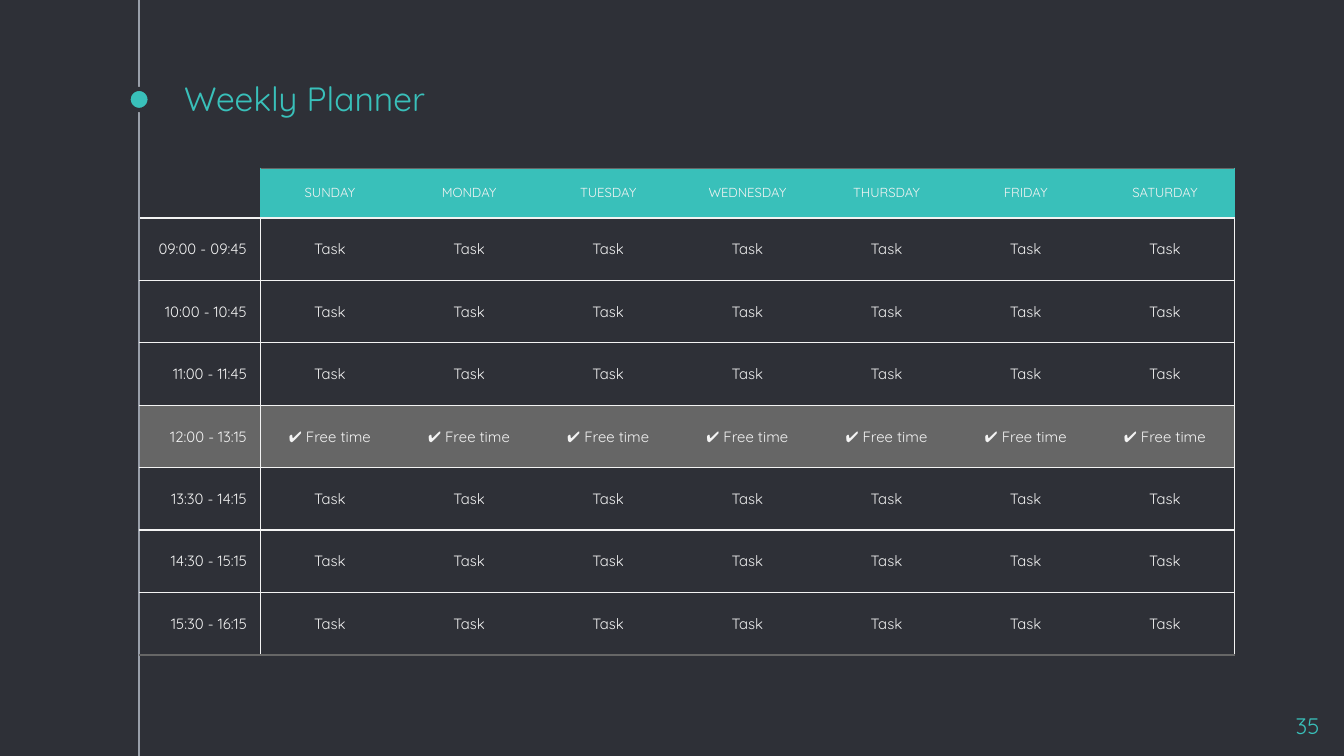
"""Build a weekly planner slide with a timetable of tasks and free time."""
from lxml import etree
from pptx import Presentation
from pptx import util as u
from pptx.dml.color import RGBColor
from pptx.enum import shapes, text
from pptx.oxml import ns

HEADING = "Weekly Planner"
PAGE = "35"
DAYS = ["SUNDAY", "MONDAY", "TUESDAY", "WEDNESDAY", "THURSDAY", "FRIDAY", "SATURDAY"]
TASK, FREE = "Task", "✔ Free time"
HOURS = [
    ("09:00 - 09:45", TASK),
    ("10:00 - 10:45", TASK),
    ("11:00 - 11:45", TASK),
    ("12:00 - 13:15", FREE),
    ("13:30 - 14:15", TASK),
    ("14:30 - 15:15", TASK),
    ("15:30 - 16:15", TASK),
]
FONT = "Quicksand"
DARK, TEAL, PALE, GREY, RAIL = "2E3037", "39C0BA", "F3F3F3", "666666", "999FA9"
WIDTH, HEIGHT = 25.4, 14.29
RAIL_X, DOT_Y, DOT_SIZE = 2.63, 1.88, 0.4
TABLE_TOP, HOUR_WIDTH, DAY_WIDTH = 3.18, 2.29, 2.63
DAY_HEIGHT, HOUR_HEIGHT = 0.94, 1.18
INSET = u.Cm(0.25)
ALIGN, ANCHOR = text.PP_ALIGN, text.MSO_ANCHOR


def color(value):
    return RGBColor.from_string(value)


def format_text(paragraph, size, ink, align):
    paragraph.alignment = align
    for run in paragraph.runs:
        run.font.name = FONT
        run.font.size = u.Pt(size)
        run.font.color.rgb = color(ink)


def set_insets(holder, inset):
    holder.margin_left = holder.margin_right = inset
    holder.margin_top = holder.margin_bottom = inset


def add_label(slide, words, place, size, align, anchor):
    frame = slide.shapes.add_textbox(*map(u.Cm, place)).text_frame
    frame.word_wrap = True
    frame.vertical_anchor = anchor
    set_insets(frame, INSET)
    frame.text = words
    format_text(frame.paragraphs[0], size, TEAL, align)


def add_rail(slide):
    rail = slide.shapes.add_connector(
        shapes.MSO_CONNECTOR.STRAIGHT, u.Cm(RAIL_X), 0, u.Cm(RAIL_X), u.Cm(HEIGHT))
    rail.line.color.rgb = color(RAIL)
    rail.line.width = u.Pt(0.75)
    etree.SubElement(rail._element.spPr, ns.qn("a:effectLst"))
    dot = slide.shapes.add_shape(
        shapes.MSO_SHAPE.OVAL, u.Cm(RAIL_X - DOT_SIZE / 2), u.Cm(DOT_Y - DOT_SIZE / 2),
        u.Cm(DOT_SIZE), u.Cm(DOT_SIZE))
    dot.shadow.inherit = False
    dot.fill.solid()
    dot.fill.fore_color.rgb = color(TEAL)
    dot.line.color.rgb = color(DARK)
    dot.line.width = u.Pt(2.25)


def cell_borders(row, col):
    upright = PALE if row else TEAL
    left = {0: RAIL if row else None, 1: upright}.get(col)
    right = upright if col in (0, len(DAYS)) else None
    top = PALE if row else GREY if col else None
    bottom = GREY if row == len(HOURS) else PALE
    return {"L": left, "R": right, "T": top, "B": bottom}


def draw_borders(cell, borders):
    properties = cell._tc.get_or_add_tcPr()
    for side, ink in borders.items():
        edge = etree.SubElement(properties, ns.qn(f"a:ln{side}"), w=str(u.Pt(0.75)))
        if ink:
            fill = etree.SubElement(edge, ns.qn("a:solidFill"))
            etree.SubElement(fill, ns.qn("a:srgbClr"), val=ink)
        else:
            etree.SubElement(edge, ns.qn("a:noFill"))


def fill_cell(cell, words, row, col, shade):
    draw_borders(cell, cell_borders(row, col))
    if shade:
        cell.fill.solid()
        cell.fill.fore_color.rgb = color(shade)
    else:
        cell.fill.background()
    cell.vertical_anchor = ANCHOR.MIDDLE
    set_insets(cell, INSET if words else 0)
    cell.text = words
    format_text(cell.text_frame.paragraphs[0], 8 if row else 7, PALE,
                ALIGN.CENTER if col else ALIGN.RIGHT)


def add_planner(slide):
    planner = [["", *DAYS]] + [[hour] + [entry] * len(DAYS) for hour, entry in HOURS]
    widths = [HOUR_WIDTH] + [DAY_WIDTH] * len(DAYS)
    heights = [DAY_HEIGHT] + [HOUR_HEIGHT] * len(HOURS)
    table = slide.shapes.add_table(
        len(heights), len(widths), u.Cm(RAIL_X), u.Cm(TABLE_TOP),
        u.Cm(sum(widths)), u.Cm(sum(heights))).table
    table.first_row = table.horz_banding = False
    for column, width in zip(table.columns, widths):
        column.width = u.Cm(width)
    for row, entries in enumerate(planner):
        table.rows[row].height = u.Cm(heights[row])
        for col, words in enumerate(entries):
            if row == 0:
                shade = TEAL if col else None
            else:
                shade = GREY if FREE in entries else None
            fill_cell(table.cell(row, col), words, row, col, shade)


def main():
    deck = Presentation()
    deck.slide_width, deck.slide_height = u.Cm(WIDTH), u.Cm(HEIGHT)
    slide = deck.slides.add_slide(deck.slide_layouts[6])
    slide.background.fill.solid()
    slide.background.fill.fore_color.rgb = color(DARK)
    add_rail(slide)
    add_label(slide, HEADING, (3.23, 1.52, 19.05, 0.97), 18, ALIGN.LEFT, ANCHOR.BOTTOM)
    add_label(slide, PAGE, (23.67, 13.21, 1.52, 0.86), 12, ALIGN.RIGHT, ANCHOR.TOP)
    add_planner(slide)
    deck.save("out.pptx")


if __name__ == "__main__":
    main()
